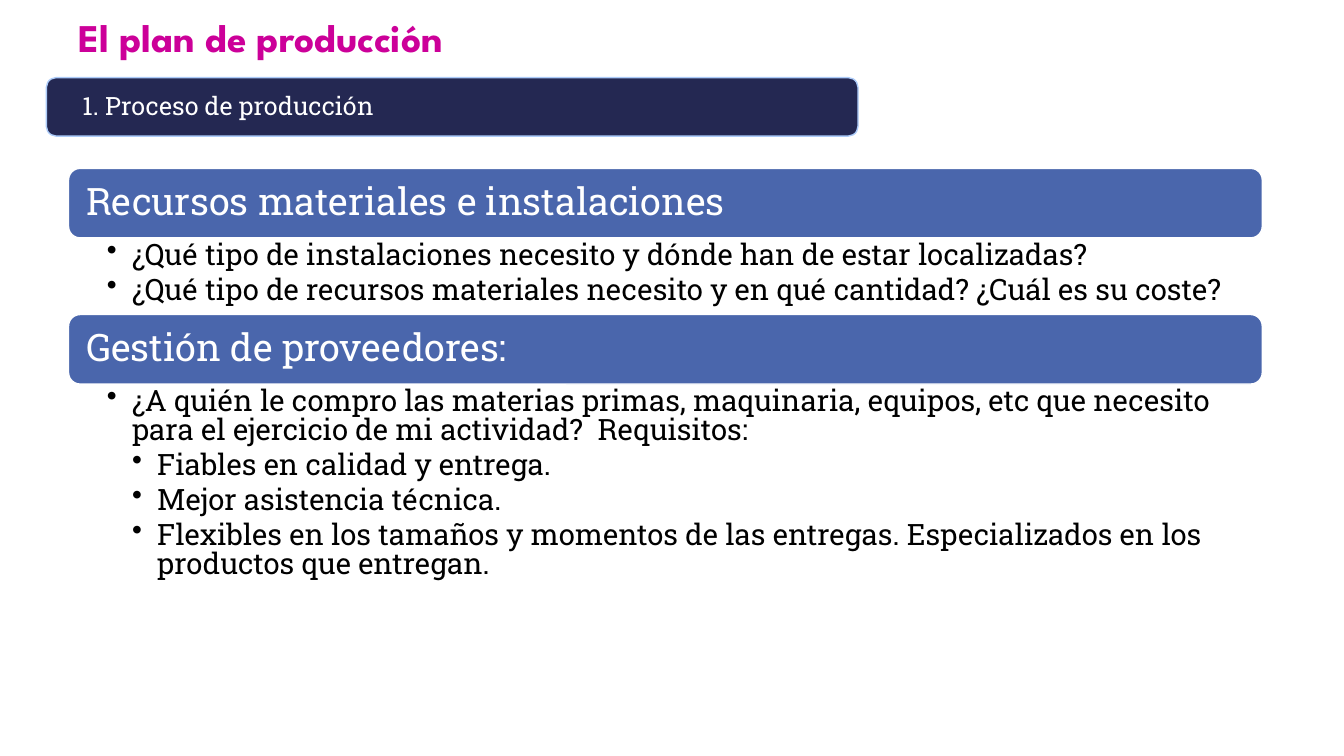
from lxml.etree import SubElement
from pptx import Presentation
from pptx.dml.color import RGBColor
from pptx.enum.shapes import MSO_SHAPE
from pptx.enum.text import MSO_ANCHOR, PP_ALIGN
from pptx.oxml.ns import qn
from pptx.util import Inches, Pt

COLORS = {"title": "CC0099", "banner": "242852", "edge": "ACCBF9",
          "heading": "4A66AC", "white": "FFFFFF", "body": "000000"}
BODY_FONT = "Roboto Slab"
LEFT, WIDTH, HEADING_HEIGHT = 0.68, 11.84, 0.69
SECTIONS = [
    (1.67, 0.76, "Recursos materiales e instalaciones", [
        (1, "¿Qué tipo de instalaciones necesito y dónde han de estar localizadas?"),
        (1, "¿Qué tipo de recursos materiales necesito y en qué cantidad? ¿Cuál es su coste?"),
    ]),
    (3.12, 2.14, "Gestión de proveedores:", [
        (1, "¿A quién le compro las materias primas, maquinaria, equipos, etc que necesito "
            "para el ejercicio de mi actividad?  Requisitos:"),
        (2, "Fiables en calidad y entrega."),
        (2, "Mejor asistencia técnica."),
        (2, "Flexibles en los tamaños y momentos de las entregas. Especializados en los "
            "productos que entregan."),
    ]),
]


def color(name):
    """Return the named colour."""
    return RGBColor.from_string(COLORS[name])


def set_frame(frame, anchor, left, top, right, bottom):
    """Set wrapping, anchor and insets of a text frame."""
    frame.word_wrap = True
    frame.vertical_anchor = anchor
    frame.margin_left, frame.margin_top = Inches(left), Inches(top)
    frame.margin_right, frame.margin_bottom = Inches(right), Inches(bottom)


def style(para, size, ink, name=BODY_FONT, bold=False, spacing=0.9):
    """Set the font and line spacing of a paragraph."""
    para.alignment = PP_ALIGN.LEFT
    para.line_spacing = spacing
    font = para.font
    font.name, font.size, font.bold = name, Pt(size), bold
    font.color.rgb = color(ink)


def add_title(page, left, top, width, height, text):
    """Add the slide title."""
    box = page.shapes.add_textbox(Inches(left), Inches(top), Inches(width), Inches(height))
    set_frame(box.text_frame, MSO_ANCHOR.MIDDLE, 0.1, 0.05, 0.1, 0.05)
    para = box.text_frame.paragraphs[0]
    para.text = text
    style(para, 28, "title", "League Spartan", True)


def add_bar(page, left, top, width, height, text, size, fill, edge, inset):
    """Add a rounded bar with a white label."""
    bar = page.shapes.add_shape(MSO_SHAPE.ROUNDED_RECTANGLE, Inches(left), Inches(top),
                                Inches(width), Inches(height))
    bar.shadow.inherit = False
    bar.fill.solid()
    bar.fill.fore_color.rgb = color(fill)
    bar.line.color.rgb = color(edge)
    bar.line.width = Pt(1)
    set_frame(bar.text_frame, MSO_ANCHOR.MIDDLE, inset, 0, inset, 0)
    para = bar.text_frame.paragraphs[0]
    para.text = text
    style(para, size, "white")


def add_bullets(page, left, top, width, height, items):
    """Add a bulleted list of (level, text) items."""
    box = page.shapes.add_textbox(Inches(left), Inches(top), Inches(width), Inches(height))
    frame = box.text_frame
    set_frame(frame, MSO_ANCHOR.TOP, 0.38, 0.04, 0.21, 0.04)
    for index, (level, text) in enumerate(items):
        para = frame.add_paragraph() if index else frame.paragraphs[0]
        para.text = text
        para.level = level
        properties = para._p.get_or_add_pPr()
        properties.set("marL", str(Inches(0.25 * level)))
        properties.set("indent", str(Inches(-0.25)))
        SubElement(properties, qn("a:buChar"), char="•")
        para.space_after = Pt(4)
        style(para, 21, "body", spacing=0.83)


def add_section(page, left, top, width, list_height, heading, items):
    """Add a heading bar with its list right below."""
    add_bar(page, left, top, width, HEADING_HEIGHT, heading, 27, "heading", "white", 0.14)
    add_bullets(page, left, top + HEADING_HEIGHT, width, list_height, items)


def main():
    """Build and save the slide."""
    deck = Presentation()
    deck.slide_width, deck.slide_height = Inches(13.33), Inches(7.5)
    page = deck.slides.add_slide(deck.slide_layouts[6])
    add_title(page, LEFT, 0, 5.75, 0.78, "El plan de producción")
    for top, list_height, heading, items in SECTIONS:
        add_section(page, LEFT, top, WIDTH, list_height, heading, items)
    add_bar(page, 0.46, 0.77, 8.05, 0.58, "1. Proceso de producción", 18, "banner", "edge", 0.33)
    deck.save("out.pptx")


if __name__ == "__main__":
    main()
